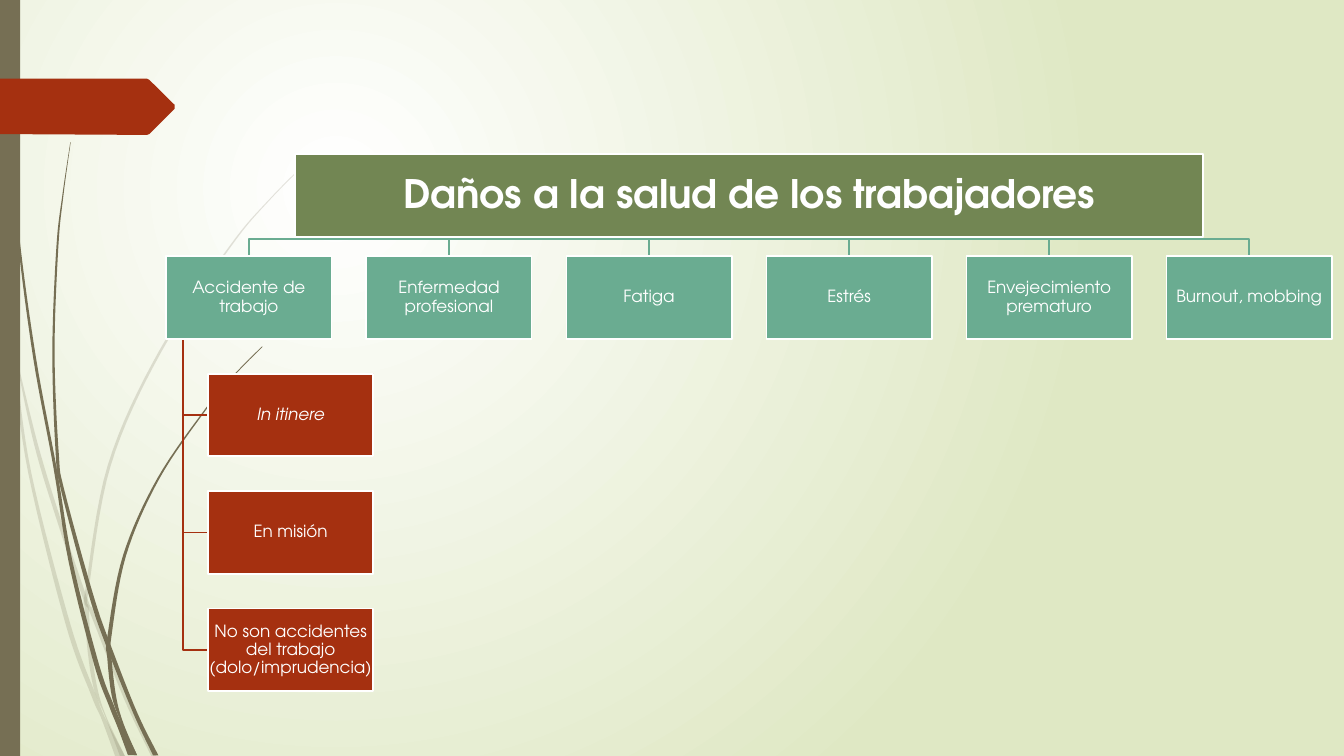
from typing import NamedTuple

from lxml import etree
from pptx import Presentation
from pptx.dml.color import RGBColor
from pptx.enum.shapes import MSO_SHAPE as Preset
from pptx.enum.text import MSO_ANCHOR as Anchor, PP_ALIGN as Align
from pptx.oxml.ns import qn
from pptx.util import Pt

BROWN, RED, OLIVE, TEAL, WHITE = "766F54", "A53010", "728653", "6AAC91", "FFFFFF"
Point = tuple[float, float]


class Strand(NamedTuple):
    """A blade of grass: (centre x, y, width) from tip to foot."""
    nodes: list[tuple[float, float, float]]
    opacity: int = 100


class Card(NamedTuple):
    text: str
    left: float
    top: float
    fill: str
    width: float = 118.1
    height: float = 59
    inset: float = 0.7
    font: dict = {}


STRANDS = [
    Strand([(0, 209, 2), (6.8, 241, 1.4), (10, 259, 2), (21.3, 338, 2.2), (48.6, 446, 3.4),
            (67, 497, 3.4), (74.2, 514, 3), (85.7, 540, 7)], 20),
    Strand([(10, 248.5, 0.5), (25.6, 317, 2.7), (43.2, 375, 3), (61.2, 428.5, 3),
            (66.3, 439, 3), (90, 499, 3), (109.8, 540, 3.6)], 20),
    Strand([(224.6, 110.5, 0.7), (193, 142.2, 0.9), (164.5, 176, 1.3), (114.5, 251, 2),
            (78.2, 332, 2.2), (62.3, 420.5, 2.3), (62, 435, 2.9), (64.1, 465, 2.9),
            (68.4, 492, 2.6), (75.6, 512, 0.8), (87.5, 540, 3.6)], 20),
    Strand([(2.5, 0, 0.7), (5.4, 79, 0.7), (13, 168, 1.4), (24.8, 256, 2), (39.5, 335, 2.2),
            (50.4, 401, 2.8), (68.8, 474, 3.5), (79.6, 504, 3.6), (86.4, 520, 4.3),
            (94.7, 539.5, 6.5)]),
    Strand([(50.4, 101.5, 0.3), (45, 139, 0.8), (41, 176.4, 1.4), (38.2, 251, 1.6),
            (40.9, 324, 2.2), (45, 351, 2.4), (65.2, 425.5, 3.2), (77.8, 462, 3.4),
            (96.5, 509, 3), (111.2, 539.5, 3.8)]),
    Strand([(187.2, 247.7, 0.7), (166.3, 269, 0.9), (147.2, 292, 1.1), (113, 342, 1.6),
            (88.9, 397, 2.2), (78.1, 455, 2.9), (78.1, 469.5, 3), (81.4, 497.5, 3),
            (87.5, 517, 1.5), (96.8, 539.5, 2.2)]),
]
ARROW = [(0, 56.2), (105, 56.2), (106.6, 57), (124.8, 75), (124.8, 77.6), (106.6, 95.8),
         (105, 96.4), (0, 95.8)]

HEADING = Card("Daños a la salud de los trabajadores", 210.8, 110.2, OLIVE, 648.6, 59, 1.4,
               {"size": Pt(28), "bold": True})
DAMAGES = ["Accidente de trabajo", "Enfermedad profesional", "Fatiga", "Estrés",
           "Envejecimiento prematuro", "Burnout, mobbing"]
ACCIDENTS = [("In itinere", {"italic": True}), ("En misión", {}),
             ("No son accidentes del trabajo (dolo/imprudencia)", {})]
DAMAGE_CARDS = [Card(text, 118.8 + 142.9 * i, 183, TEAL) for i, text in enumerate(DAMAGES)]
ACCIDENT_CARDS = [Card(text, 148.6, 266.9 + 83.9 * i, RED, font=font)
                  for i, (text, font) in enumerate(ACCIDENTS)]


def colour(code: str) -> RGBColor:
    return RGBColor.from_string(code)


def paint_background(page) -> None:
    """Circular gradient centred a quarter of the way in and down."""
    fill = page.background.fill
    fill.gradient()
    for stop, code in zip(fill.gradient_stops, (WHITE, "DFE8C4")):
        stop.color.rgb = colour(code)
    gradient = page._element.find(".//" + qn("a:gradFill"))
    gradient.remove(gradient.find(qn("a:lin")))
    circle = etree.SubElement(gradient, qn("a:path"), path="circle")
    etree.SubElement(circle, qn("a:fillToRect"), l="50000", t="50000", r="100000", b="100000")


def trace(page, points: list[Point], closed: bool):
    """Build a freeform through the points."""
    start, *rest = [(Pt(x), Pt(y)) for x, y in points]
    builder = page.shapes.build_freeform(*start)
    builder.add_line_segments(rest, close=closed)
    shape = builder.convert_to_shape()
    shape.shadow.inherit = False
    return shape


def draw_outline(page, points: list[Point], fill: str, opacity: int = 100) -> None:
    shape = trace(page, points, True)
    shape.fill.solid()
    shape.fill.fore_color.rgb = colour(fill)
    shape.line.fill.background()
    if opacity < 100:
        tint = shape._element.spPr.find(".//" + qn("a:srgbClr"))
        etree.SubElement(tint, qn("a:alpha"), val=str(opacity * 1000))


def draw_branch(page, points: list[Point], code: str) -> None:
    shape = trace(page, points, False)
    shape.fill.background()
    shape.line.color.rgb = colour(code)
    shape.line.width = Pt(1.25)


def smooth(nodes: list[tuple], steps: int = 8) -> list[tuple]:
    """Catmull-Rom curve through the nodes."""
    padded = [nodes[0], *nodes, nodes[-1]]
    curve = []
    for a, b, c, d in zip(padded, padded[1:], padded[2:], padded[3:]):
        for t in (step / steps for step in range(steps)):
            curve.append(tuple(
                q + t * (r - p) / 2 + t**2 * (2 * p - 5 * q + 4 * r - s) / 2
                + t**3 * (3 * q - p - 3 * r + s) / 2
                for p, q, r, s in zip(a, b, c, d)))
    return curve + [nodes[-1]]


def draw_strand(page, strand: Strand) -> None:
    curve = smooth(strand.nodes)
    left = [(max(x - width / 2, 0), y) for x, y, width in curve]
    right = [(x + width / 2, y) for x, y, width in reversed(curve)]
    draw_outline(page, left + right, BROWN, strand.opacity)


def add_block(page, left: float, top: float, width: float, height: float, fill: str):
    box = page.shapes.add_shape(Preset.RECTANGLE, Pt(left), Pt(top), Pt(width), Pt(height))
    box.shadow.inherit = False
    box.fill.solid()
    box.fill.fore_color.rgb = colour(fill)
    box.line.fill.background()
    return box


def draw_card(page, card: Card) -> None:
    box = add_block(page, card.left, card.top, card.width, card.height, card.fill)
    box.line.color.rgb = colour(WHITE)
    box.line.width = Pt(1.25)
    frame = box.text_frame
    frame.word_wrap = True
    frame.vertical_anchor = Anchor.MIDDLE
    for side in ("left", "top", "right", "bottom"):
        setattr(frame, f"margin_{side}", Pt(card.inset))
    para = frame.paragraphs[0]
    para.alignment = Align.CENTER
    para.line_spacing = 0.9
    span = para.add_run()
    span.text = card.text
    span.font.color.rgb = colour(WHITE)
    for name, value in ({"name": "TeX Gyre Adventor", "size": Pt(12)} | card.font).items():
        setattr(span.font, name, value)


def main() -> None:
    deck = Presentation()
    deck.slide_width, deck.slide_height = Pt(960), Pt(540)
    page = deck.slides.add_slide(deck.slide_layouts[6])
    paint_background(page)
    for strand in STRANDS:
        draw_strand(page, strand)
    add_block(page, 0, 0, 14.4, 540, BROWN)
    draw_outline(page, ARROW, RED)

    trunk, base, bus = HEADING.left + HEADING.width / 2, HEADING.top + HEADING.height, 170.8
    for card in DAMAGE_CARDS:
        middle = card.left + card.width / 2
        draw_branch(page, [(trunk, base), (trunk, bus), (middle, bus), (middle, card.top)], TEAL)
    spine, foot = 130.7, DAMAGE_CARDS[0].top + DAMAGE_CARDS[0].height
    for card in ACCIDENT_CARDS:
        middle = card.top + card.height / 2
        draw_branch(page, [(spine, foot), (spine, middle), (card.left, middle)], RED)
    for card in [HEADING, *DAMAGE_CARDS, *ACCIDENT_CARDS]:
        draw_card(page, card)
    deck.save("out.pptx")


if __name__ == "__main__":
    main()
